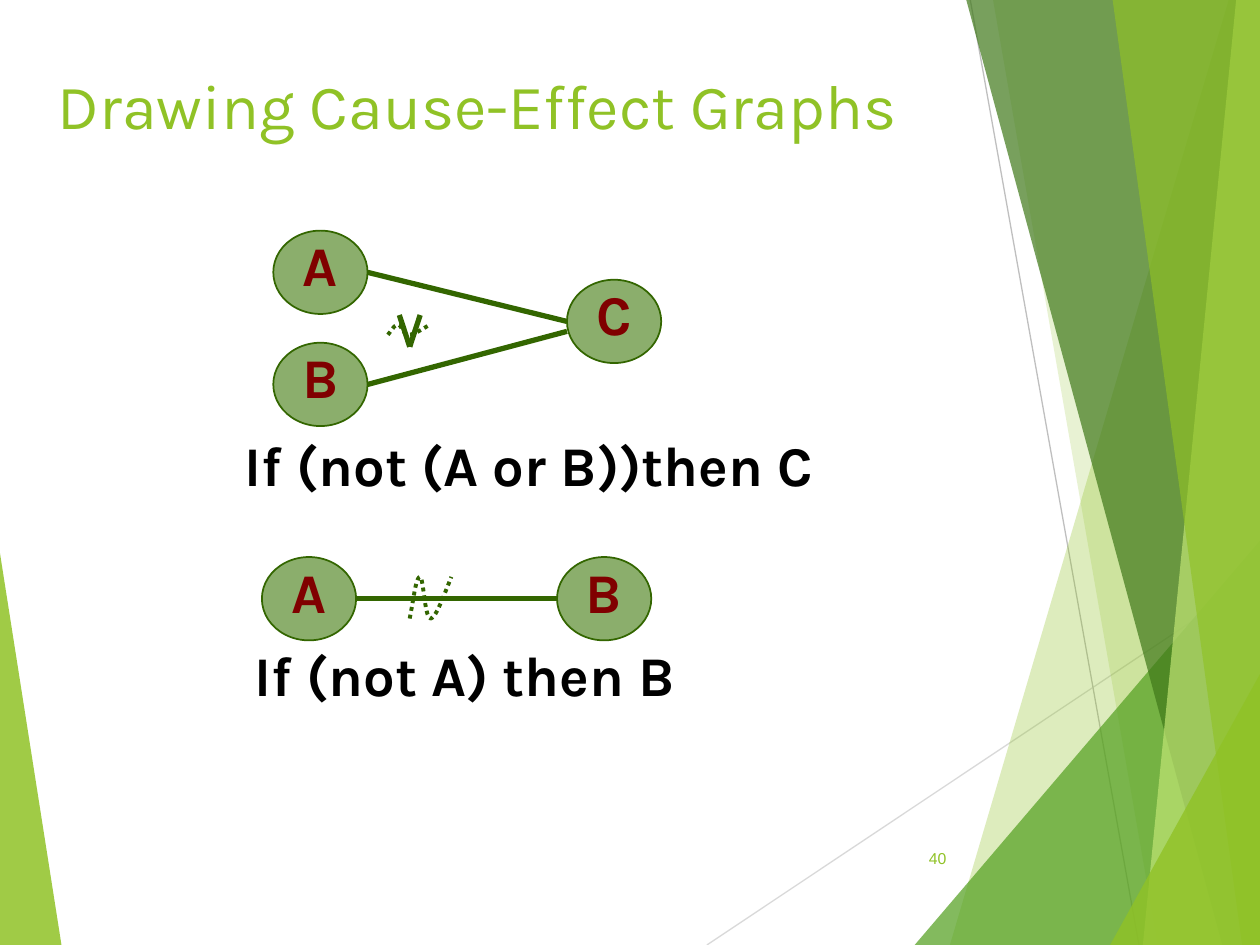
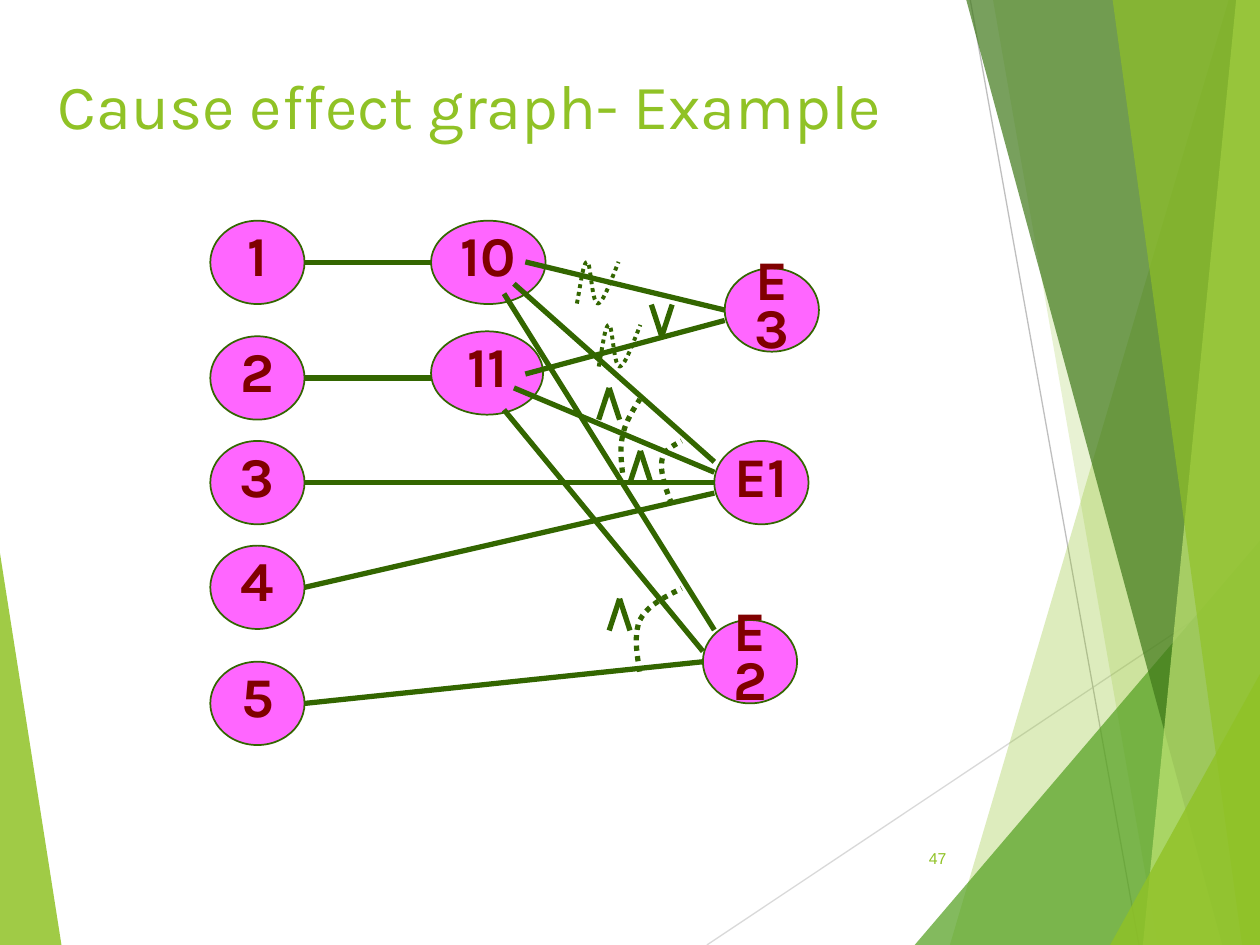
from lxml.etree import SubElement
from pptx import Presentation
from pptx.dml.color import RGBColor
from pptx.enum.dml import MSO_LINE
from pptx.enum.shapes import MSO_CONNECTOR, MSO_SHAPE
from pptx.enum.text import MSO_ANCHOR as Anchor, PP_ALIGN as Align
from pptx.oxml.ns import qn
from pptx.util import Cm, Pt

LIME = RGBColor(0x90, 0xC2, 0x26)
GRASS = RGBColor(0x54, 0xA0, 0x21)
FOREST = RGBColor(0x3F, 0x78, 0x19)
PALE_LIME = RGBColor(0xC0, 0xE4, 0x74)
LIGHT_GREY = RGBColor(0xD9, 0xD9, 0xD9)
MID_GREY = RGBColor(0xBF, 0xBF, 0xBF)
INK_GREEN = RGBColor(0x33, 0x66, 0x00)
SAGE = RGBColor(0x8B, 0xAE, 0x6C)
PINK = RGBColor(0xFF, 0x66, 0xFF)
MAROON = RGBColor(0x80, 0x00, 0x00)
BLACK = RGBColor(0x00, 0x00, 0x00)

WIDTH, HEIGHT = 25.4, 19.05
NODE_WIDTH, NODE_HEIGHT = 1.9, 1.68
MARK_HALF, MARK_HEIGHT = 0.21, 0.64
WAVE_SIZE = 0.84
WAVE = [(0, 1), (0.1, 0.5), (0.15, 0), (0.25, 0), (0.33, 0), (0.36, 1),
        (0.5, 1), (0.62, 1), (0.8, 0.5), (1, 0)]
CURVE_STEPS = 10


def point(x, y):
    """Return a position given in centimetres."""
    return Cm(x), Cm(y)


def east(node):
    """Return the middle of a node's right side."""
    return node.left + node.width, node.top + node.height // 2


def west(node, drop=0):
    """Return the middle of a node's left side, moved down by drop."""
    return node.left, node.top + node.height // 2 + Cm(drop)


def write(frame, text, size, color, font="Karla", bold=False, align=Align.LEFT,
          anchor=Anchor.MIDDLE, before=0, spacing=1.0, insets=(0.05, 0.13)):
    """Put one styled run into a text frame."""
    frame.word_wrap = True
    frame.vertical_anchor = anchor
    frame.margin_left = frame.margin_right = Cm(insets[0])
    frame.margin_top = frame.margin_bottom = Cm(insets[1])
    paragraph = frame.paragraphs[0]
    paragraph.alignment = align
    paragraph.space_before = Pt(before)
    paragraph.line_spacing = spacing
    run = paragraph.add_run()
    run.text = text
    run.font.name = font
    run.font.size = Pt(size)
    run.font.bold = bold
    run.font.color.rgb = color


def add_text(slide, box, text, size, color, **style):
    """Add a text box at left, top, width and height."""
    write(slide.shapes.add_textbox(*map(Cm, box)).text_frame, text, size, color, **style)


def add_caption(slide, left, top, width, text):
    """Add the rule that a graph stands for."""
    add_text(slide, (left, top, width, 1.6), text, 32, BLACK, bold=True,
             anchor=Anchor.TOP, before=18.2, spacing=0.72)


def add_link(slide, begin, end, color=INK_GREEN, weight=3):
    """Draw a straight line between two positions."""
    link = slide.shapes.add_connector(MSO_CONNECTOR.STRAIGHT, *begin, *end)
    link.line.color.rgb = color
    link.line.width = Pt(weight)
    SubElement(link._element.spPr, qn("a:effectLst"))


def add_outline(slide, points, closed):
    """Build a shadowless outline through points in centimetres."""
    start, *others = [point(x, y) for x, y in points]
    builder = slide.shapes.build_freeform(*start)
    builder.add_line_segments(others, close=closed)
    outline = builder.convert_to_shape()
    outline.shadow.inherit = False
    return outline


def add_facet(slide, points, color, opacity):
    """Draw a see-through facet of the backdrop."""
    facet = add_outline(slide, points, closed=True)
    facet.fill.solid()
    facet.fill.fore_color.rgb = color
    tint = facet._element.spPr.find(f".//{qn('a:srgbClr')}")
    SubElement(tint, qn("a:alpha"), val=str(opacity * 1000))
    facet.line.fill.background()


def add_strip(slide, top_x, bottom_x, color, opacity):
    """Draw a facet from a slanted edge to the right side."""
    corners = [(top_x, 0), (bottom_x, HEIGHT), (WIDTH, HEIGHT), (WIDTH, 0)]
    add_facet(slide, corners, color, opacity)


def add_corner(slide, left, top, color, opacity):
    """Draw a triangular facet in the lower right corner."""
    add_facet(slide, [(left, HEIGHT), (WIDTH, top), (WIDTH, HEIGHT)], color, opacity)


def add_backdrop(slide):
    """Draw the green facets and thin lines behind the content."""
    add_facet(slide, [(0, 11.15), (1.24, HEIGHT), (0, HEIGHT)], LIME, 85)
    add_link(slide, point(14.25, HEIGHT), point(WIDTH, 11.61), LIGHT_GREY, 0.75)
    add_link(slide, point(19.56, 0), point(22.96, HEIGHT), MID_GREY, 0.75)
    add_strip(slide, 24.77, 19.15, LIME, 30)
    add_strip(slide, 20.02, 23.34, LIME, 20)
    add_corner(slide, 18.44, 10.9, GRASS, 72)
    add_strip(slide, 19.48, 24.64, FOREST, 70)
    add_strip(slide, 24.92, 23.04, PALE_LIME, 70)
    add_strip(slide, 22.43, 25.04, LIME, 65)
    add_corner(slide, 22.38, 13.59, LIME, 80)


def start_slide(deck, title, number):
    """Add a slide with backdrop, number and title."""
    slide = deck.slides.add_slide(deck.slide_layouts[6])
    add_backdrop(slide)
    add_text(slide, (17.91, 16.79, 1.42, 1.02), number, 9, LIME, font="Arial",
             align=Align.RIGHT, insets=(0.25, 0.13))
    add_text(slide, (1.12, 0.51, 21.59, 3.18), title, 36, LIME, before=5.2)
    return slide


def add_node(slide, label, left, top, color, width=NODE_WIDTH):
    """Draw a labelled cause or effect."""
    node = slide.shapes.add_shape(MSO_SHAPE.OVAL, *map(Cm, (left, top, width, NODE_HEIGHT)))
    node.shadow.inherit = False
    node.fill.solid()
    node.fill.fore_color.rgb = color
    node.line.color.rgb = INK_GREEN
    node.line.width = Pt(1)
    write(node.text_frame, label, 32, MAROON, bold=True, align=Align.CENTER,
          before=7.1, spacing=0.72)
    return node


def bezier(controls):
    """Return points along a chain of cubic curves."""
    points = [controls[0]]
    for first in range(0, len(controls) - 1, 3):
        section = controls[first:first + 4]
        for step in range(1, CURVE_STEPS + 1):
            t = step / CURVE_STEPS
            weights = ((1 - t) ** 3, 3 * t * (1 - t) ** 2, 3 * t * t * (1 - t), t ** 3)
            points.append(tuple(sum(w * p[axis] for w, p in zip(weights, section))
                                for axis in (0, 1)))
    return points


def add_dotted_curve(slide, controls, weight=3):
    """Draw a dotted curve from its control points."""
    curve = add_outline(slide, bezier(controls), closed=False)
    curve.fill.background()
    curve.line.color.rgb = INK_GREEN
    curve.line.width = Pt(weight)
    curve.line.dash_style = MSO_LINE.ROUND_DOT


def add_not_wave(slide, left, top, height=WAVE_SIZE):
    """Draw the dotted wave that negates a link."""
    controls = [(left + x * WAVE_SIZE, top + y * height) for x, y in WAVE]
    add_dotted_curve(slide, controls, weight=2.25)


def add_wedge(slide, x, y, rise):
    """Draw two strokes that meet at an apex."""
    for side in (-MARK_HALF, MARK_HALF):
        add_link(slide, point(x + side, y + rise), point(x, y))


def add_and_mark(slide, x, y):
    """Draw an AND sign with its apex on top."""
    add_wedge(slide, x, y, MARK_HEIGHT)


def add_or_mark(slide, x, y):
    """Draw an OR sign with its apex below."""
    add_wedge(slide, x, y, -MARK_HEIGHT)


def build_notation(deck):
    """Show the negated OR and the NOT link."""
    slide = start_slide(deck, "Drawing Cause-Effect Graphs", "40")
    cause_a = add_node(slide, "A", 5.51, 4.65, SAGE)
    effect_c = add_node(slide, "C", 11.43, 5.64, SAGE)
    cause_b = add_node(slide, "B", 5.51, 6.91, SAGE)
    add_link(slide, east(cause_a), west(effect_c))
    add_link(slide, east(cause_b), west(effect_c, 0.2))
    add_or_mark(slide, 8.26, 6.99)
    add_not_wave(slide, 7.82, 6.55, height=0.2)
    add_caption(slide, 4.88, 8.89, 12.27, "If (not (A or B))then C")

    cause = add_node(slide, "A", 5.28, 11.23, SAGE)
    effect = add_node(slide, "B", 11.23, 11.23, SAGE)
    add_link(slide, east(cause), west(effect))
    add_not_wave(slide, 8.26, 11.63)
    add_caption(slide, 5.08, 13.13, 9.3, "If (not A) then B")


def build_example(deck):
    """Show five causes that lead to three effects."""
    slide = start_slide(deck, "Cause effect graph- Example", "47")
    node_10 = add_node(slide, "10", 8.69, 4.45, PINK, width=2.31)
    node_11 = add_node(slide, "11", 8.69, 6.68, PINK, width=2.26)
    effect_3 = add_node(slide, "E3", 14.61, 5.41, PINK)
    effect_1 = add_node(slide, "E1", 14.4, 8.89, PINK)
    effect_2 = add_node(slide, "E2", 14.17, 12.5, PINK)

    cause_tops = (4.45, 6.78, 8.89, 11, 13.34)
    cause_ends = (west(node_10), west(node_11, 0.1), west(effect_1),
                  west(effect_1, 0.21), west(effect_2))
    for number, (top, end) in enumerate(zip(cause_tops, cause_ends), 1):
        cause = add_node(slide, str(number), 4.24, top, PINK)
        add_link(slide, east(cause), end)

    for begin, end in (
        (point(10.59, 5.28), west(effect_3)),
        (point(10.59, 7.54), west(effect_3, 0.21)),
        (point(10.16, 8.26), west(effect_2, -0.21)),
        (point(10.16, 5.92), point(14.4, 12.7)),
        (point(10.36, 7.82), west(effect_1, -0.21)),
        (point(10.36, 5.72), west(effect_1, -0.42)),
    ):
        add_link(slide, begin, end)

    add_not_wave(slide, 11.63, 5.28)
    add_not_wave(slide, 12.07, 6.55)
    for arc in (
        [(12.9, 13.54), (12.83, 13.16), (12.78, 12.78), (12.9, 12.5),
         (13.06, 12.19), (13.41, 12.04), (13.74, 11.86)],
        [(13.54, 10.16), (13.41, 9.83), (13.31, 9.53), (13.34, 9.3),
         (13.36, 9.09), (13.56, 8.99), (13.74, 8.89)],
        [(12.55, 9.53), (12.52, 9.27), (12.5, 9.02), (12.55, 8.79),
         (12.6, 8.53), (12.75, 8.28), (12.9, 8.05)],
    ):
        add_dotted_curve(slide, arc)
    for apex in ((12.28, 7.82), (12.91, 9.09), (12.49, 12.07)):
        add_and_mark(slide, *apex)
    add_or_mark(slide, 13.34, 6.78)


def main():
    """Build and save the two slides."""
    deck = Presentation()
    deck.slide_width, deck.slide_height = point(WIDTH, HEIGHT)
    build_notation(deck)
    build_example(deck)
    deck.save("out.pptx")


if __name__ == "__main__":
    main()
